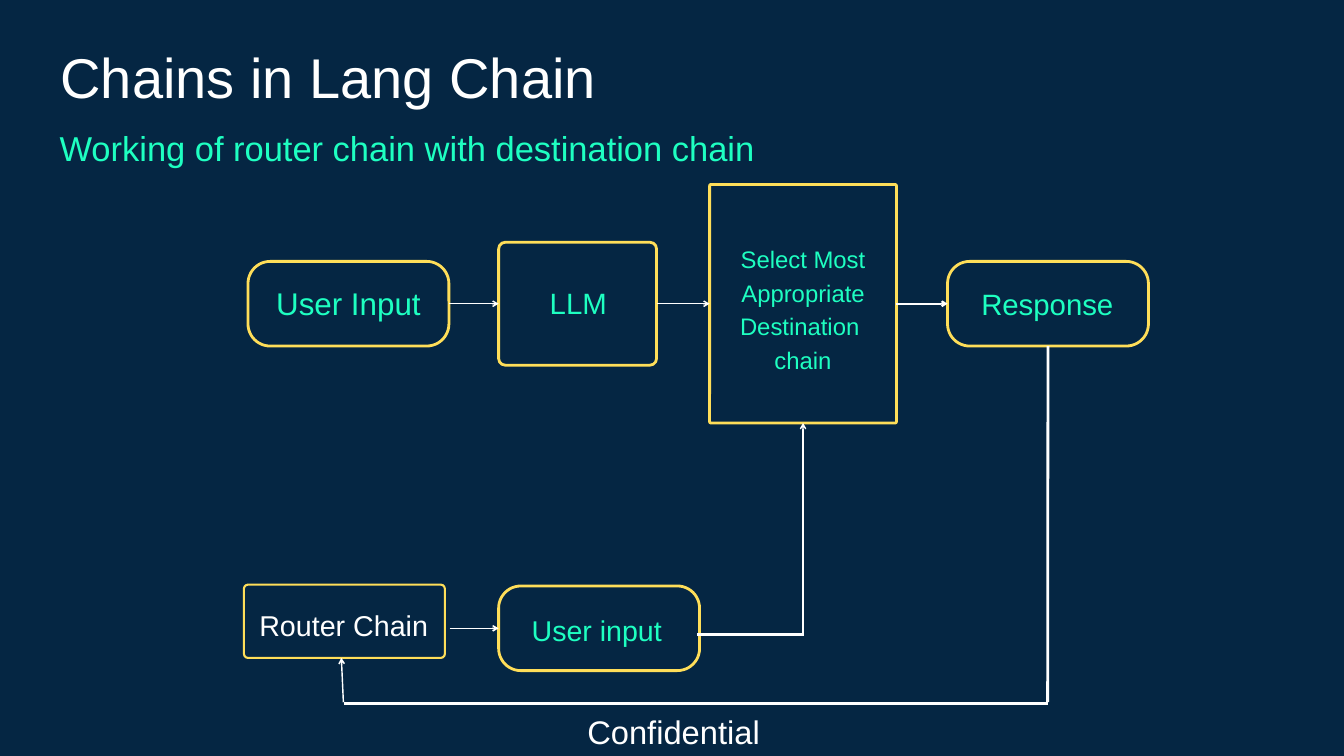
import pptx
import pptx.dml.color
import pptx.enum.shapes
import pptx.enum.text
import pptx.oxml
import pptx.oxml.ns
import pptx.util
from pptx.util import Inches

COLORS = {"navy": "052643", "white": "FFFFFF", "mint": "1EFFC1", "yellow": "FFDE59"}
TOP_ROW_MIDDLE = 4.52
PILL = (2.99, 1.26)


def color(name):
    """Return the named colour."""
    return pptx.dml.color.RGBColor.from_string(COLORS[name])


def add_label(page, box, lines, size, spacing, ink="mint"):
    """Write centred paragraphs in a box of left, top, width, height."""
    frame = page.shapes.add_textbox(*map(Inches, box)).text_frame
    frame.word_wrap = True
    frame.margin_left = frame.margin_top = frame.margin_right = frame.margin_bottom = 0
    frame.text = "\n".join(lines)
    for para in frame.paragraphs:
        para.alignment = pptx.enum.text.PP_ALIGN.CENTER
        para.line_spacing = pptx.util.Pt(spacing)
        for span in para.runs:
            span.font.name = "Arial"
            span.font.size = pptx.util.Pt(size)
            span.font.color.rgb = color(ink)


def add_node(page, box, radius, weight=3):
    """Draw a rounded outline in a box of left, top, width, height."""
    node = page.shapes.add_shape(
        pptx.enum.shapes.MSO_SHAPE.ROUNDED_RECTANGLE, *map(Inches, box))
    node.adjustments[0] = radius / min(box[2:])
    node.shadow.inherit = False
    node.fill.background()
    node.line.color.rgb = color("yellow")
    node.line.width = pptx.util.Pt(weight)
    return node


def add_link(page, start, end, weight=1.5, arrow=True, source=None, target=None):
    """Draw a line between two points, joined to (node, side) pairs if given."""
    link = page.shapes.add_connector(
        pptx.enum.shapes.MSO_CONNECTOR.STRAIGHT, *map(Inches, start + end))
    link.line.color.rgb = color("white")
    link.line.width = pptx.util.Pt(weight)
    if source:
        link.begin_connect(*source)
    if target:
        link.end_connect(*target)
    if arrow:
        tail = pptx.oxml.parse_xml(
            f'<a:tailEnd {pptx.oxml.ns.nsdecls("a")} type="arrow"/>')
        link.line._get_or_add_ln().append(tail)
    link._element.spPr.append(
        pptx.oxml.parse_xml(f'<a:effectLst {pptx.oxml.ns.nsdecls("a")}/>'))


def add_heading(page):
    """Write the title, subtitle and footer."""
    add_label(page, (0.78, 0.47, 8.21, 1.16), ["Chains in Lang Chain"], 60, 84, "white")
    add_label(page, (-0.28, 1.78, 12.68, 0.72),
              ["Working of router chain with destination chain"], 37, 51.8)
    add_label(page, (7.91, 10.49, 4.23, 0.68), ["Confidential"], 35, 49, "white")


def add_top_row(page):
    """Draw the main flow and return its selection and response nodes."""
    sizes = [(3.69, *PILL, 0.33), (7.42, 2.35, 1.83, 0.1),
             (10.56, 2.78, 3.55, 0.02), (14.1, *PILL, 0.33)]
    nodes = [add_node(page, (left, TOP_ROW_MIDDLE - height / 2, width, height), radius)
             for left, width, height, radius in sizes]
    add_label(page, (3.69, 4.14, 2.99, 0.65), ["User Input"], 33.6, 47)
    add_label(page, (7.11, 4.15, 2.99, 0.61), ["LLM"], 31.5, 44.1)
    add_label(page, (10.48, 3.57, 2.94, 1.95),
              ["Select Most Appropriate Destination ", "chain"], 25.6, 35.9)
    add_label(page, (14.33, 4.17, 2.51, 0.59), ["Response"], 31.5, 44.1)
    for source, target, weight in zip(nodes, nodes[1:], (1.5, 1.5, 2)):
        add_link(page, (0, 0), (0, 0), weight, source=(source, 3), target=(target, 1))
    return nodes[2], nodes[3]


def add_bottom_row(page, selection, response):
    """Draw the router row and the lines that tie it to the main flow."""
    add_node(page, (3.63, 8.7, 2.99, 1.09), 0.06, 2.25)
    question = add_node(page, (7.42, 8.72, *PILL), 0.33)
    add_label(page, (3.62, 8.96, 2.99, 0.58), ["Router Chain"], 30.7, 43, "white")
    add_label(page, (7.21, 9.03, 3.34, 0.58), ["User input"], 30.6, 42.8)
    add_link(page, (6.69, 9.35), (7.42, 9.35), target=(question, 1))
    add_link(page, (10.37, 9.44), (11.95, 9.44), 3, False)
    add_link(page, (11.95, 9.46), (11.95, 6.3), target=(selection, 2))
    add_link(page, (15.59, 5.13), (15.59, 10.45), 3, False, source=(response, 2))
    add_link(page, (5.12, 10.47), (15.59, 10.47), 3, False)
    add_link(page, (5.11, 10.45), (5.08, 9.79))


def main():
    """Build and save the slide."""
    deck = pptx.Presentation()
    deck.slide_width, deck.slide_height = Inches(20), Inches(11.25)
    page = deck.slides.add_slide(deck.slide_layouts[6])
    page.background.fill.solid()
    page.background.fill.fore_color.rgb = color("navy")
    add_heading(page)
    selection, response = add_top_row(page)
    add_bottom_row(page, selection, response)
    deck.save("out.pptx")


if __name__ == "__main__":
    main()
